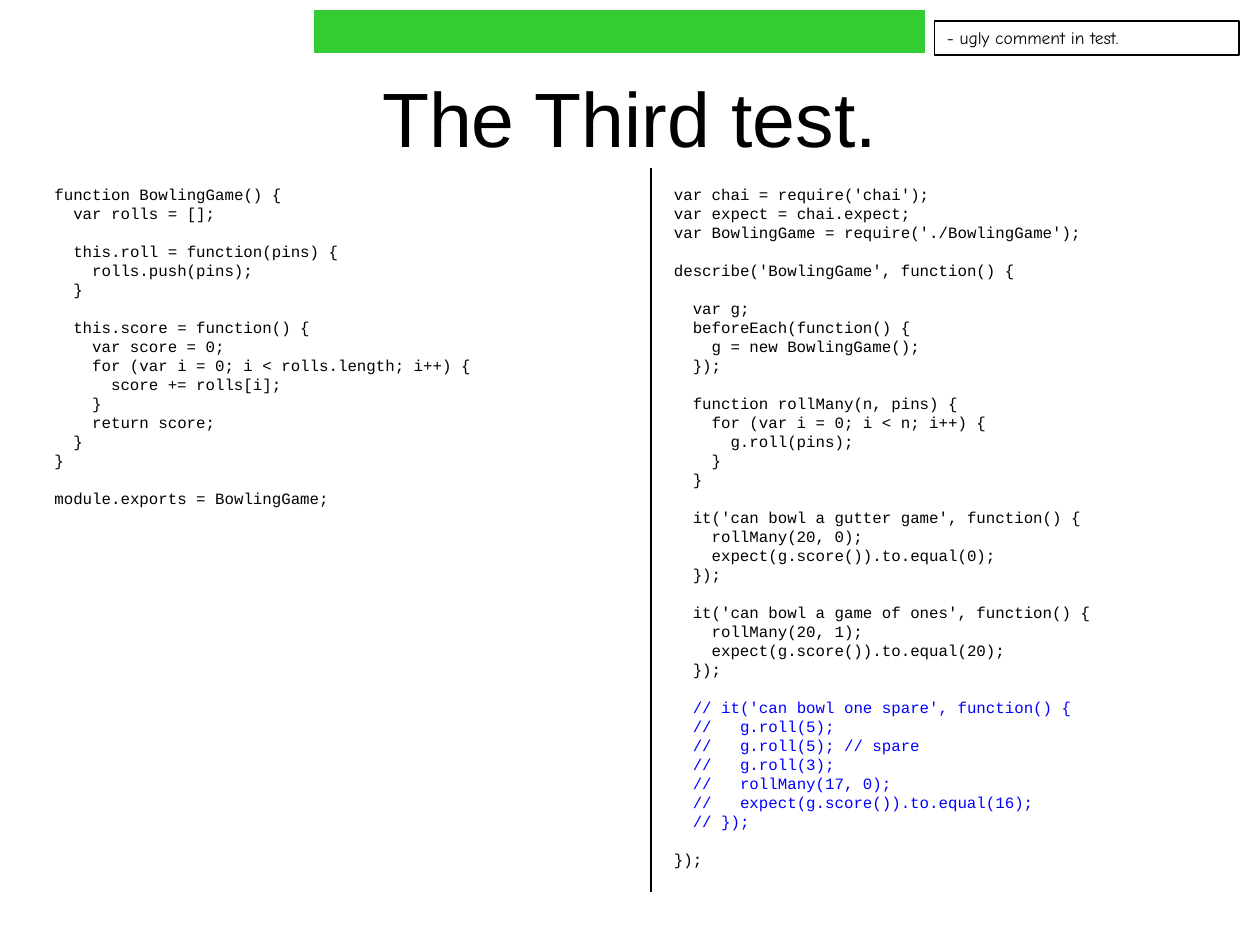
from pptx import Presentation
from pptx.dml.color import RGBColor
from pptx.enum.shapes import MSO_CONNECTOR, MSO_SHAPE
from pptx.enum.text import MSO_ANCHOR, MSO_AUTO_SIZE, PP_ALIGN
from pptx.oxml.ns import qn
from pptx.util import Inches, Pt
from lxml.etree import SubElement

HUES = {"ink": "000000", "note": "0000FF", "pass": "33CC33"}
UNIT = Inches(1) / 12  # grid of 120 columns by 90 rows
PITCH = Pt(10.85)  # height of a line of code
CHAR = Pt(5.4)  # width of a letter of code

GAME = """\
function BowlingGame() {
  var rolls = [];

  this.roll = function(pins) {
    rolls.push(pins);
  }

  this.score = function() {
    var score = 0;
    for (var i = 0; i < rolls.length; i++) {
      score += rolls[i];
    }
    return score;
  }
}

module.exports = BowlingGame;"""

TEST = """\
var chai = require('chai');
var expect = chai.expect;
var BowlingGame = require('./BowlingGame');

describe('BowlingGame', function() {

  var g;
  beforeEach(function() {
    g = new BowlingGame();
  });

  function rollMany(n, pins) {
    for (var i = 0; i < n; i++) {
      g.roll(pins);
    }
  }

  it('can bowl a gutter game', function() {
    rollMany(20, 0);
    expect(g.score()).to.equal(0);
  });

  it('can bowl a game of ones', function() {
    rollMany(20, 1);
    expect(g.score()).to.equal(20);
  });

  // it('can bowl one spare', function() {
  //   g.roll(5);
  //   g.roll(5); // spare
  //   g.roll(3);
  //   rollMany(17, 0);
  //   expect(g.score()).to.equal(16);
  // });

});"""


def grid(*cells):
    return [round(cell * UNIT) for cell in cells]


def write(shape, text, font, size, align=PP_ALIGN.LEFT, anchor=MSO_ANCHOR.TOP,
          grow=True, code=False):
    """Fill a shape with text; code gets indents and gaps from its layout."""
    frame = shape.text_frame
    frame.word_wrap = True
    frame.vertical_anchor = anchor
    frame.auto_size = MSO_AUTO_SIZE.SHAPE_TO_FIT_TEXT if grow else MSO_AUTO_SIZE.NONE
    para, gap = None, False
    for line in text.split("\n"):
        if not line:
            gap = True
            continue
        para = frame.add_paragraph() if para else frame.paragraphs[0]
        para.alignment = align
        body = line.lstrip()
        remark = body.startswith("//")
        if code:
            para.line_spacing = PITCH
            para.space_before = PITCH if gap else Pt(0)
            left, hang = len(line) - len(body), 0
            if body.startswith("//   "):
                hang = 5
                body = "//\t" + body[hang:]
            props = para._p.get_or_add_pPr()
            props.set("marL", str((left + hang) * CHAR))
            props.set("indent", str(-hang * CHAR))
        run = para.add_run()
        run.text = body
        run.font.name = font
        run.font.size = Pt(size)
        run.font.color.rgb = RGBColor.from_string(HUES["note" if remark else "ink"])
        gap = False


deck = Presentation()
deck.slide_width, deck.slide_height = Inches(10), Inches(7.5)
slide = deck.slides.add_slide(deck.slide_layouts[6])
shapes = slide.shapes

title = shapes.add_textbox(*grid(6, 3.6, 108, 15))
write(title, "The Third test.", "Arial", 44, align=PP_ALIGN.CENTER,
      anchor=MSO_ANCHOR.MIDDLE, grow=False)

for col, rows, text in ((4, 32, GAME), (63, 66.25, TEST)):
    box = shapes.add_textbox(*grid(col, 17, 53, rows))
    write(box, text, "Courier New", 9, code=True)

rule = shapes.add_connector(MSO_CONNECTOR.STRAIGHT, *grid(62, 16, 62, 85))
rule.line.color.rgb = RGBColor.from_string(HUES["ink"])
rule.line.width = Pt(0.75)
SubElement(rule._element.spPr, qn("a:effectLst"))

for cells, fill, edge, text in (
    ((89, 2, 29, 3.25), None, "ink", "- ugly comment in test."),
    ((30, 1, 58, 4), "pass", "pass", None),
):
    bar = shapes.add_shape(MSO_SHAPE.RECTANGLE, *grid(*cells))
    bar.shadow.inherit = False
    bar.line.color.rgb = RGBColor.from_string(HUES[edge])
    bar.line.width = Pt(0.75)
    if fill:
        bar.fill.solid()
        bar.fill.fore_color.rgb = RGBColor.from_string(HUES[fill])
    else:
        bar.fill.background()
    if text:
        write(bar, text, "Comic Neue", 10)

deck.save("out.pptx")
